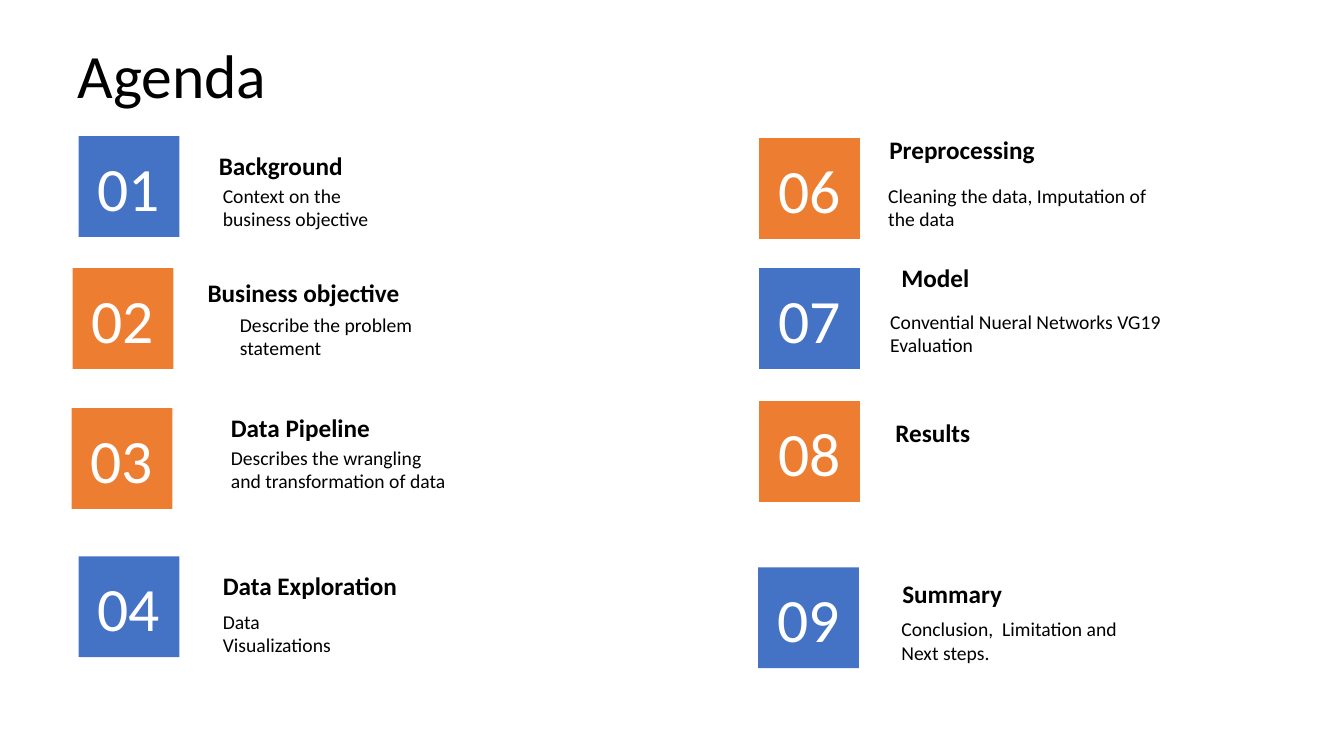
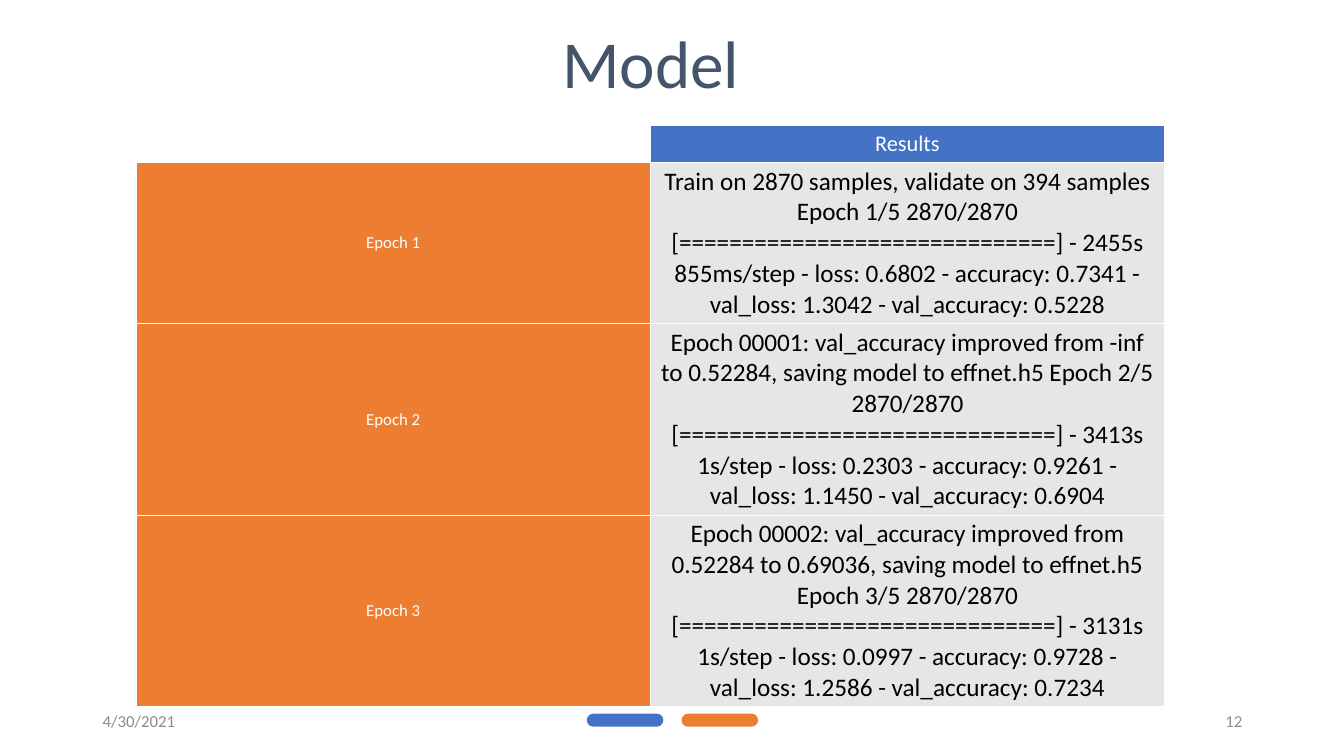
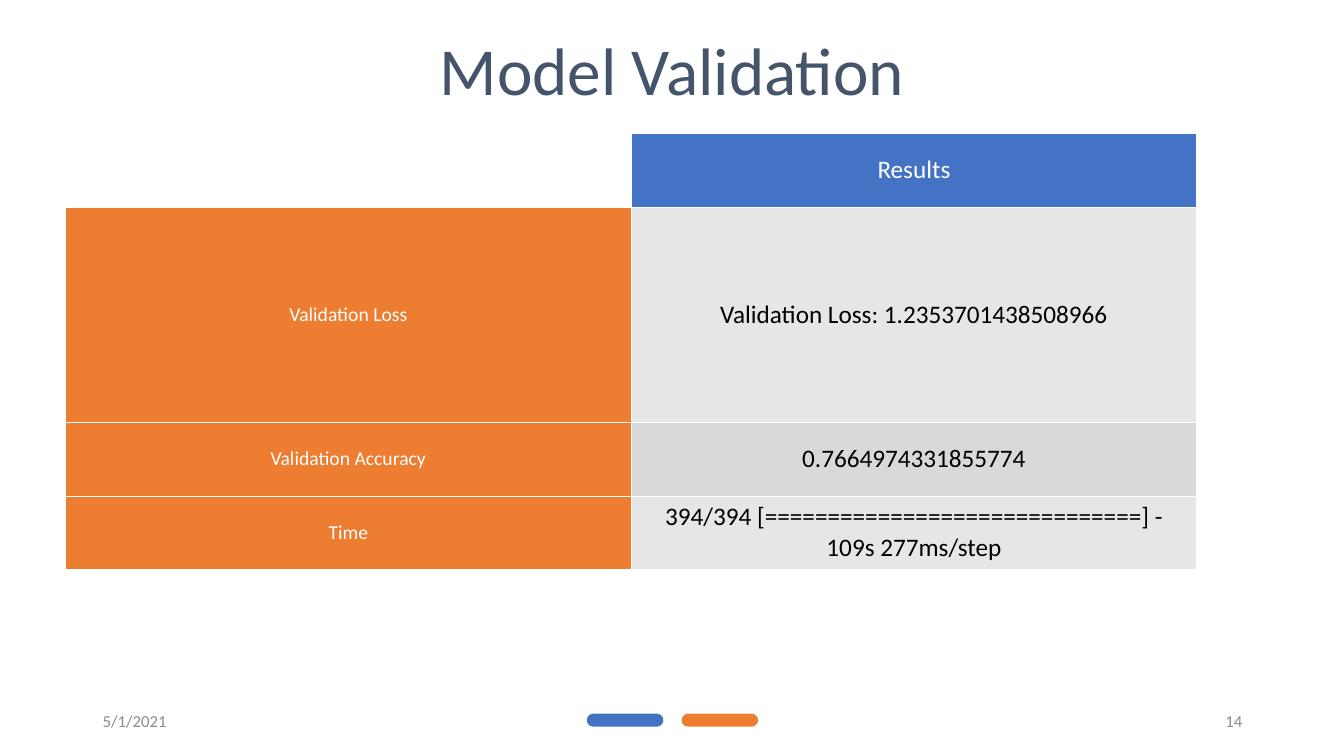
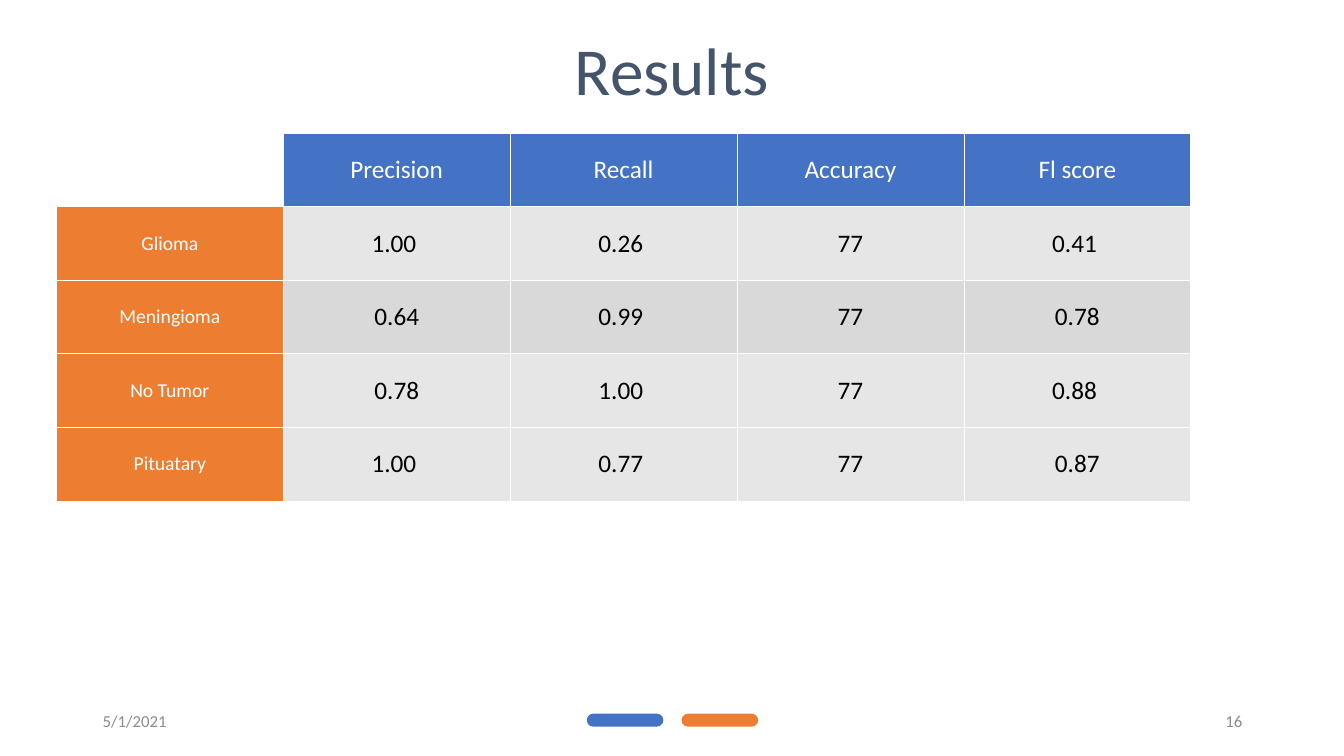
from dataclasses import dataclass

from lxml.etree import SubElement
from pptx import Presentation
from pptx.dml.color import RGBColor
from pptx.enum.shapes import MSO_SHAPE as Shape
from pptx.enum.text import MSO_ANCHOR as Anchor, PP_ALIGN as Align
from pptx.oxml import parse_xml
from pptx.oxml.ns import nsdecls, qn
from pptx.util import Inches, Pt


@dataclass(frozen=True)
class Theme:
    """Colours, font and type sizes shared by the slides."""
    font: str = "Calibri"
    blue: str = "4472C4"
    orange: str = "ED7D31"
    slate: str = "44546A"
    black: str = "000000"
    white: str = "FFFFFF"
    gray: str = "8C8C8C"
    light: str = "E7E6E6"
    band: str = "D9D9D9"
    title: int = 48
    agenda: int = 44
    heading: int = 18
    column: int = 16
    body: int = 14
    small: int = 12


THEME = Theme()


class Deck:
    """Holds the presentation, its theme and the current slide."""

    def __init__(self, theme):
        """Start an empty widescreen presentation."""
        self.theme = theme
        self.deck = Presentation()
        self.deck.slide_width = Inches(13.33)
        self.deck.slide_height = Inches(7.5)
        self.page = None

    def new_page(self):
        """Add a blank slide and make it current."""
        self.page = self.deck.slides.add_slide(self.deck.slide_layouts[6])

    def set_text(self, frame, text, size, color, align=Align.LEFT, bold=False):
        """Fill a text frame and format its runs."""
        frame.text = text
        for para in frame.paragraphs:
            para.alignment = align
            for span in para.runs:
                span.font.name = self.theme.font
                span.font.size = Pt(size)
                span.font.bold = bold
                span.font.color.rgb = RGBColor.from_string(color)

    def text(self, at, text, size, color, align=Align.LEFT, bold=False,
             anchor=Anchor.TOP, inset=True):
        """Add a wrapped text box, with the default insets or none."""
        box = self.page.shapes.add_textbox(*map(Inches, at))
        frame = box.text_frame
        frame.word_wrap = True
        frame.vertical_anchor = anchor
        if not inset:
            frame.margin_left = frame.margin_right = 0
            frame.margin_top = frame.margin_bottom = 0
        self.set_text(frame, text, size, color, align, bold)
        return frame

    def shape(self, kind, at, color):
        """Add a flat filled shape without outline."""
        box = self.page.shapes.add_shape(kind, *map(Inches, at))
        box.shadow.inherit = False
        box.fill.solid()
        box.fill.fore_color.rgb = RGBColor.from_string(color)
        box.line.fill.background()
        return box

    def agenda_item(self, number, color, corner, heading, body=None):
        """Add a numbered square with its heading and description."""
        theme = self.theme
        square = self.shape(Shape.RECTANGLE, (*corner, 1, 1), color)
        square.text_frame.vertical_anchor = Anchor.MIDDLE
        self.set_text(square.text_frame, number, theme.agenda, theme.white,
                      Align.CENTER)
        left, top, label = heading
        self.text((left, top, 2.6, 0.3), label, theme.heading, theme.black,
                  bold=True, inset=False)
        if body:
            left, top, width, label = body
            self.text((left, top, width, 0.47), label, theme.body,
                      theme.black, inset=False)

    def results_page(self, title, date, number, left=0.47, top=0.28):
        """Start a slide with a centred title and the shared footer."""
        theme = self.theme
        self.new_page()
        self.text((left, top, 12.39, 0.81), title, theme.title, theme.slate,
                  Align.CENTER, inset=False)
        for x, color in ((5.82, theme.blue), (6.76, theme.orange)):
            pill = self.shape(Shape.ROUNDED_RECTANGLE, (x, 7.08, 0.76, 0.13),
                              color)
            pill.adjustments[0] = 0.5
        for x, label, align in ((0.92, date, Align.LEFT),
                                (9.42, number, Align.RIGHT)):
            self.text((x, 6.95, 3, 0.4), label, theme.small, theme.gray,
                      align, anchor=Anchor.MIDDLE)

    def cell_style(self, row, column, banded):
        """Return the fill and text colour for a table position."""
        theme = self.theme
        if row == 0:
            return (theme.blue if column else theme.white), theme.white
        if column == 0:
            return theme.orange, theme.white
        return (theme.band if banded and row == 2 else theme.light), theme.black

    def border(self, cell):
        """Draw thin white lines on the four sides of a cell."""
        properties = cell._tc.get_or_add_tcPr()
        for index, side in enumerate(("lnL", "lnR", "lnT", "lnB")):
            line = parse_xml(f'<a:{side} {nsdecls("a")} w="6350"/>')
            fill = SubElement(line, qn("a:solidFill"))
            SubElement(fill, qn("a:srgbClr")).set("val", self.theme.white)
            properties.insert(index, line)

    def table(self, left, top, column_width, heights, rows, header_size,
              label_size, banded=True):
        """Add a table with a blue header and orange row labels."""
        count = len(rows[0])
        frame = self.page.shapes.add_table(
            len(rows), count, Inches(left), Inches(top),
            Inches(column_width * count), Inches(sum(heights)))
        table = frame.table
        table.first_row = table.horz_banding = False
        for column in table.columns:
            column.width = Inches(column_width)
        for r, (height, values) in enumerate(zip(heights, rows)):
            table.rows[r].height = Inches(height)
            for c, value in enumerate(values):
                cell = table.cell(r, c)
                fill, color = self.cell_style(r, c, banded)
                size = (header_size if r == 0 else
                        label_size if c == 0 else self.theme.heading)
                cell.margin_top = cell.margin_bottom = Inches(0.03)
                cell.vertical_anchor = Anchor.MIDDLE
                cell.fill.solid()
                cell.fill.fore_color.rgb = RGBColor.from_string(fill)
                self.border(cell)
                self.set_text(cell.text_frame, value, size, color,
                              Align.CENTER)


AGENDA = [
    ("01", THEME.blue, (0.78, 1.35), (2.17, 1.49, "Background"),
     (2.21, 1.82, 1.67, "Context on the business objective")),
    ("02", THEME.orange, (0.72, 2.66), (2.06, 2.75, "Business objective"),
     (2.38, 3.1, 2.17, "Describe the problem statement")),
    ("03", THEME.orange, (0.71, 4.05), (2.29, 4.09, "Data Pipeline"),
     (2.29, 4.42, 2.17, "Describes the wrangling and transformation of data")),
    ("04", THEME.blue, (0.78, 5.52), (2.21, 5.66, "Data Exploration"),
     (2.21, 6.05, 3.04, "Data\nVisualizations")),
    ("06", THEME.orange, (7.53, 1.37), (8.82, 1.33, "Preprocessing"),
     (8.81, 1.82, 2.6, "Cleaning the data, Imputation of the data")),
    ("07", THEME.blue, (7.53, 2.66), (8.94, 2.6, "Model"),
     (8.83, 3.07, 2.93, "Convential Nueral Networks VG19\nEvaluation")),
    ("08", THEME.orange, (7.53, 3.98), (8.88, 4.14, "Results")),
    ("09", THEME.blue, (7.52, 5.63), (8.95, 5.74, "Summary"),
     (8.94, 6.12, 2.6, "Conclusion,  Limitation and\nNext steps.")),
]

PROGRESS = "[==============================]"

EPOCHS = [
    ("", "Results"),
    ("Epoch 1",
     "Train on 2870 samples, validate on 394 samples Epoch 1/5 2870/2870 "
     f"{PROGRESS} - 2455s 855ms/step - loss: 0.6802 - accuracy: 0.7341 - "
     "val_loss: 1.3042 - val_accuracy: 0.5228"),
    ("Epoch 2",
     "Epoch 00001: val_accuracy improved from -inf to 0.52284, saving model "
     f"to effnet.h5 Epoch 2/5 2870/2870 {PROGRESS} - 3413s 1s/step - "
     "loss: 0.2303 - accuracy: 0.9261 - val_loss: 1.1450 - "
     "val_accuracy: 0.6904"),
    ("Epoch 3",
     "Epoch 00002: val_accuracy improved from 0.52284 to 0.69036, saving "
     f"model to effnet.h5 Epoch 3/5 2870/2870 {PROGRESS} - 3131s 1s/step - "
     "loss: 0.0997 - accuracy: 0.9728 - val_loss: 1.2586 - "
     "val_accuracy: 0.7234"),
]

VALIDATION = [
    ("", "Results"),
    ("Validation Loss", "Validation Loss: 1.2353701438508966"),
    ("Validation Accuracy", "0.7664974331855774"),
    ("Time", f"394/394 {PROGRESS} - 109s 277ms/step"),
]

SCORES = [
    ("", "Precision", "Recall", "Accuracy", "Fl score"),
    ("Glioma", "1.00 ", "0.26 ", "77", "0.41 "),
    ("Meningioma", "0.64", "0.99 ", "77", "0.78"),
    ("No Tumor", "0.78", "1.00 ", "77", "0.88 "),
    ("Pituatary", "1.00 ", "0.77 ", "77", "0.87"),
]


def main():
    """Build the four slides and save them."""
    deck = Deck(THEME)

    deck.new_page()
    title = deck.text((0.67, 0.35, 12, 0.85), "Agenda", THEME.agenda,
                      THEME.black, anchor=Anchor.MIDDLE)
    title.paragraphs[0].line_spacing = 0.9
    for item in AGENDA:
        deck.agenda_item(*item)

    deck.results_page("Model", "4/30/2021", "12", left=0.26, top=0.21)
    deck.table(1.35, 1.24, 5.1, (0.37, 1.6, 1.9, 1.9), EPOCHS,
               THEME.column, THEME.small, banded=False)

    deck.results_page("Model Validation", "5/1/2021", "14")
    deck.table(0.65, 1.32, 5.61, (0.74, 2.13, 0.73, 0.73), VALIDATION,
               THEME.heading, THEME.body)

    deck.results_page("Results", "5/1/2021", "16")
    deck.table(0.56, 1.32, 2.25, [0.73] * len(SCORES), SCORES,
               THEME.heading, THEME.body)

    deck.deck.save("out.pptx")


if __name__ == "__main__":
    main()
